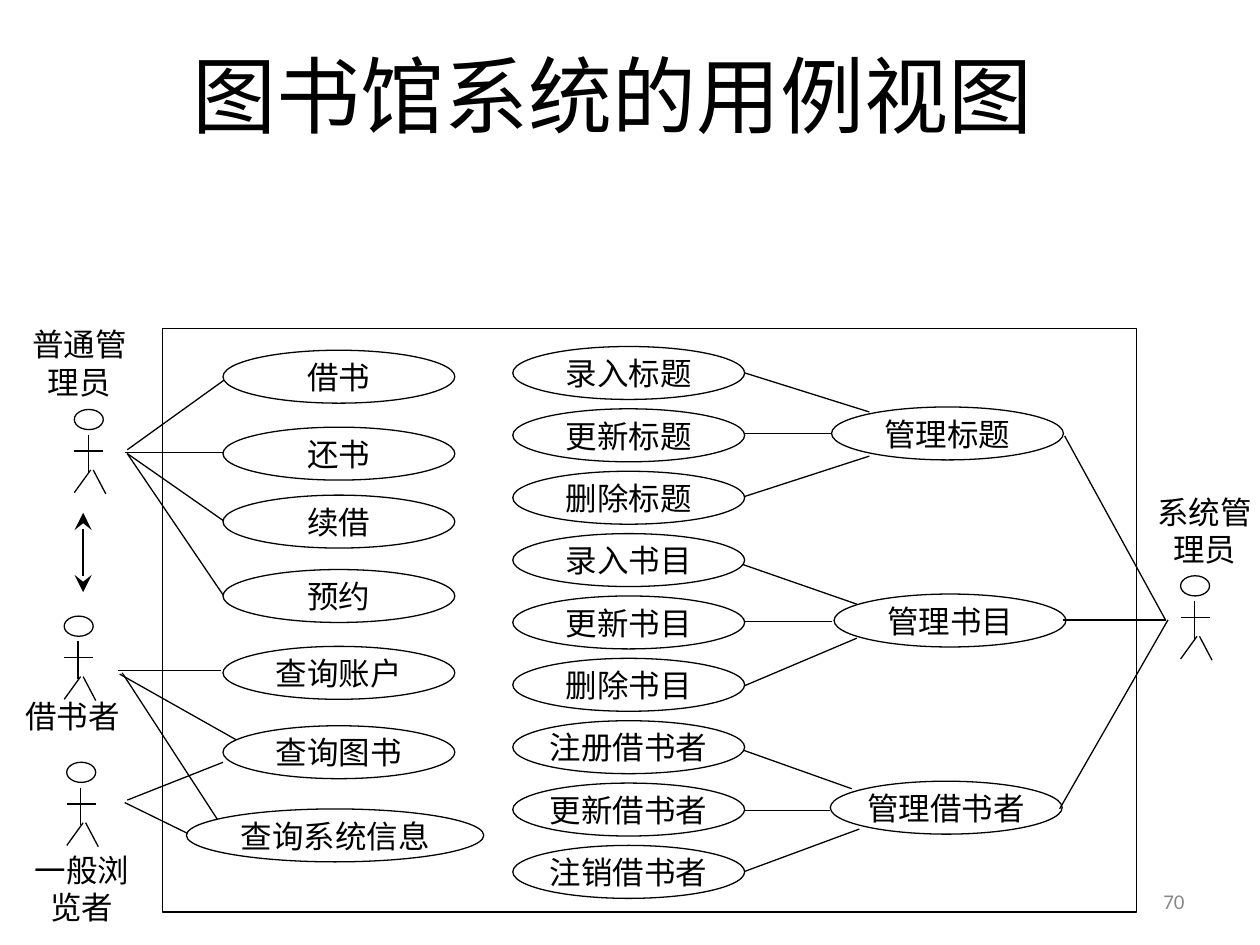
import pptx
import pptx.dml.color
import pptx.enum.shapes
import pptx.enum.text
import pptx.oxml
import pptx.oxml.ns
import pptx.util
from pptx.util import Inches

BLACK = "000000"
WHITE = "FFFFFF"
GRAY = "898989"
CASE_WIDTH, CASE_HEIGHT = 1.84, 0.42
TASK_PITCH, GROUP_PITCH = 0.495, 1.485
CENTER = pptx.enum.text.PP_ALIGN.CENTER
RIGHT = pptx.enum.text.PP_ALIGN.RIGHT
TOP = pptx.enum.text.MSO_ANCHOR.TOP
MIDDLE = pptx.enum.text.MSO_ANCHOR.MIDDLE
SHAPES = pptx.enum.shapes.MSO_SHAPE


def color(value):
    return pptx.dml.color.RGBColor.from_string(value)


def write(shape, text, size=18, font="Times New Roman", ink=BLACK,
          align=CENTER, anchor=TOP, margins=(0, 0)):
    frame = shape.text_frame
    frame.word_wrap = True
    frame.vertical_anchor = anchor
    frame.margin_left = frame.margin_right = Inches(margins[0])
    frame.margin_top = frame.margin_bottom = Inches(margins[1])
    frame.text = text
    paragraph = frame.paragraphs[0]
    paragraph.alignment = align
    run = paragraph.runs[0]
    run.font.size = pptx.util.Pt(size)
    run.font.name = font
    run.font.color.rgb = color(ink)


def add_text(slide, box, text, **style):
    write(slide.shapes.add_textbox(*map(Inches, box)), text, **style)


def add_outline(slide, kind, box):
    shape = slide.shapes.add_shape(kind, *map(Inches, box))
    shape.shadow.inherit = False
    shape.fill.solid()
    shape.fill.fore_color.rgb = color(WHITE)
    shape.line.color.rgb = color(BLACK)
    shape.line.width = pptx.util.Pt(0.75)
    return shape


def add_case(slide, left, top, text, width=CASE_WIDTH):
    write(add_outline(slide, SHAPES.OVAL, (left, top, width, CASE_HEIGHT)), text)


def add_link(slide, left, top, start, end):
    connector = slide.shapes.add_connector(
        pptx.enum.shapes.MSO_CONNECTOR.STRAIGHT,
        Inches(left + start[0]), Inches(top + start[1]),
        Inches(left + end[0]), Inches(top + end[1]))
    connector.line.color.rgb = color(BLACK)
    connector.line.width = pptx.util.Pt(0.75)
    properties = connector._element.spPr
    properties.append(pptx.oxml.parse_xml(
        f'<a:effectLst {pptx.oxml.ns.nsdecls("a")}/>'))
    return connector


def add_double_arrow(slide, left, top, height):
    connector = add_link(slide, left, top, (0, 0), (0, height))
    line = connector.line._get_or_add_ln()
    for end in ("headEnd", "tailEnd"):
        line.append(pptx.oxml.parse_xml(
            f'<a:{end} {pptx.oxml.ns.nsdecls("a")} type="stealth" w="lg" len="lg"/>'))


def draw_actor(slide, left, top, name, label_box, margins=(0, 0)):
    add_outline(slide, SHAPES.OVAL, (left, top, 0.23, 0.16))
    limbs = [
        ((0, 0.33), (0.23, 0.33)),
        ((0.11, 0.2), (0.11, 0.5)),
        ((0.13, 0.48), (0, 0.66)),
        ((0.15, 0.48), (0.25, 0.67)),
    ]
    for start, end in limbs:
        add_link(slide, left, top, start, end)
    add_text(slide, label_box, name, margins=margins)


def draw_reader_cases(slide, left, top):
    links = [
        ((-0.28, 0.96), (0.54, 0.37)),
        ((-0.3, 0.98), (0.48, 0.98)),
        ((-0.28, 0.99), (0.48, 1.52)),
        ((-0.28, 0.99), (0.5, 2.14)),
        ((-0.35, 2.71), (0.46, 2.71)),
        ((-0.34, 2.74), (0.6, 3.27)),
        ((-0.32, 2.73), (0.44, 3.9)),
        ((-0.3, 3.76), (0.21, 4.01)),
        ((-0.28, 3.74), (0.48, 3.44)),
    ]
    for start, end in links:
        add_link(slide, left, top, start, end)
    cases = [("借书", 0.17), ("还书", 0.78), ("续借", 1.32),
             ("预约", 1.91), ("查询账户", 2.52), ("查询图书", 3.15)]
    for name, offset in cases:
        add_case(slide, left + 0.48, top + offset, name)
    add_case(slide, left + 0.19, top + 3.81, "查询系统信息", 2.36)


def draw_maintenance_group(slide, left, top, subject, verbs, manager_left, links):
    for start, end in links:
        add_link(slide, left, top, start, end)
    for index, verb in enumerate(verbs):
        add_case(slide, left, top + index * TASK_PITCH, verb + subject)
    add_case(slide, left + manager_left, top + 0.48, "管理" + subject)


def draw_system(slide, left, top, width, height):
    add_outline(slide, SHAPES.RECTANGLE, (left, top, width, height))
    draw_reader_cases(slide, left, top)
    edit_verbs = ("录入", "更新", "删除")
    groups = [
        ("标题", edit_verbs, 2.53,
         [((1.81, 0.2), (2.83, 0.52)), ((1.83, 0.69), (2.53, 0.69)),
          ((1.81, 1.2), (2.83, 0.87))]),
        ("书目", edit_verbs, 2.55,
         [((1.81, 0.24), (2.73, 0.56)), ((1.83, 0.7), (2.53, 0.7)),
          ((1.81, 1.22), (2.73, 0.83))]),
        ("借书者", ("注册", "更新", "注销"), 2.52,
         [((1.79, 0.22), (2.69, 0.54)), ((1.81, 0.71), (2.52, 0.71)),
          ((1.83, 1.2), (2.75, 0.86))]),
    ]
    for index, group in enumerate(groups):
        draw_maintenance_group(slide, left + 2.78,
                               top + 0.14 + index * GROUP_PITCH, *group)
    for start, end in [((7.96, 2.31), (7.16, 0.85)),
                       ((7.96, 2.31), (7.15, 2.31)),
                       ((7.98, 2.31), (7.12, 3.81))]:
        add_link(slide, left, top, start, end)


def draw_actors(slide):
    draw_actor(slide, 0.59, 3.25, "普通管理员", (0.19, 2.58, 0.88, 0.49))
    draw_actor(slide, 0.51, 4.89, "借书者", (0, 5.48, 1.15, 0.43), (0.1, 0.05))
    draw_actor(slide, 0.53, 6.05, "一般浏览者", (0.21, 6.75, 0.88, 0.49))
    draw_actor(slide, 9.37, 4.57, "系统管理员", (9.12, 3.91, 0.88, 0.5))
    add_double_arrow(slide, 0.66, 4.07, 0.63)


def main():
    presentation = pptx.Presentation()
    presentation.slide_width = Inches(10)
    presentation.slide_height = Inches(7.5)
    slide = presentation.slides.add_slide(presentation.slide_layouts[6])
    draw_system(slide, 1.29, 2.61, 7.73, 4.63)
    draw_actors(slide)
    add_text(slide, (0.35, 0.28, 9.03, 0.93), "图书馆系统的用例视图",
             size=48, anchor=MIDDLE)
    add_text(slide, (7.17, 6.95, 2.33, 0.4), "70", size=12, font="Calibri",
             ink=GRAY, align=RIGHT, anchor=MIDDLE, margins=(0.1, 0.05))
    presentation.save("out.pptx")


if __name__ == "__main__":
    main()
